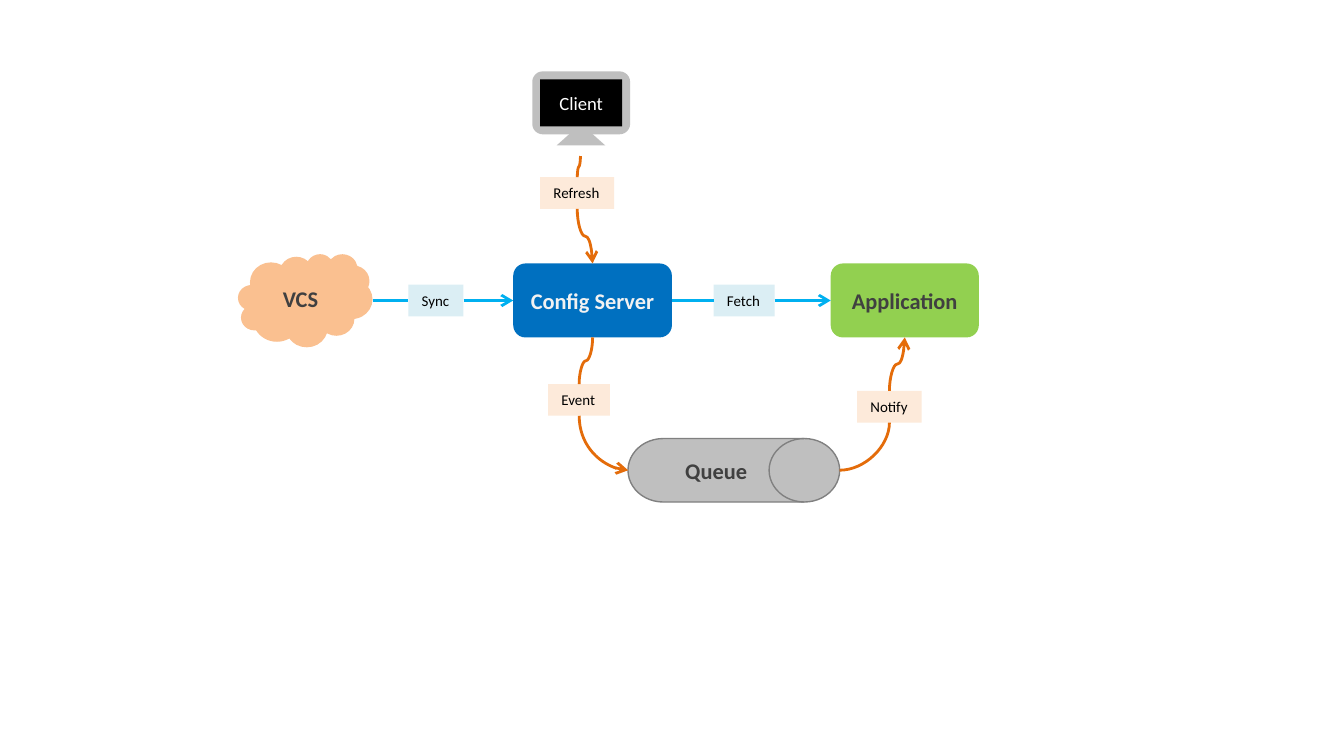
import pptx
import pptx.dml.color
import pptx.enum.shapes
import pptx.enum.text
import pptx.oxml.ns
import pptx.util
from lxml import etree

Cm = pptx.util.Cm
Pt = pptx.util.Pt
RGBColor = pptx.dml.color.RGBColor
SHAPE = pptx.enum.shapes.MSO_SHAPE
CONNECTOR = pptx.enum.shapes.MSO_CONNECTOR
ALIGN = pptx.enum.text.PP_ALIGN
ANCHOR = pptx.enum.text.MSO_ANCHOR
FIT = pptx.enum.text.MSO_AUTO_SIZE
qn = pptx.oxml.ns.qn

FONT = "Calibri"
BLUE = RGBColor(0x00, 0x70, 0xC0)
SKY = RGBColor(0x00, 0xB0, 0xF0)
PALE_BLUE = RGBColor(0xDB, 0xEE, 0xF4)
ORANGE = RGBColor(0xE4, 0x6C, 0x0A)
PEACH = RGBColor(0xFA, 0xC0, 0x90)
PALE_ORANGE = RGBColor(0xFD, 0xEA, 0xDA)
GREEN = RGBColor(0x92, 0xD0, 0x50)
SILVER = RGBColor(0xBF, 0xBF, 0xBF)
GRAY = RGBColor(0x80, 0x80, 0x80)
DARK = RGBColor(0x40, 0x40, 0x40)
LIGHT = RGBColor(0xF2, 0xF2, 0xF2)
BLACK = RGBColor(0x00, 0x00, 0x00)
WHITE = RGBColor(0xFF, 0xFF, 0xFF)

# name, preset, (left, top, width, height) in cm, fill, outline, text colour
NODES = [
    ("Config Server", SHAPE.ROUNDED_RECTANGLE, (9.7, 4.98, 3, 1.4), BLUE, None, LIGHT),
    ("VCS", SHAPE.CLOUD, (4.5, 4.8, 2.54, 1.76), PEACH, None, DARK),
    ("Application", SHAPE.ROUNDED_RECTANGLE, (15.7, 4.98, 2.8, 1.4), GREEN, None, DARK),
    ("Queue", SHAPE.FLOWCHART_DIRECT_ACCESS_STORAGE, (11.87, 8.29, 4, 1.2), SILVER, GRAY, DARK),
]
MONITOR = [
    (SHAPE.ISOSCELES_TRIANGLE, (10.52, 2.34, 0.92, 0.41), SILVER, ""),
    (SHAPE.ROUNDED_RECTANGLE, (10.06, 1.35, 1.85, 1.19), SILVER, ""),
    (SHAPE.RECTANGLE, (10.21, 1.5, 1.55, 0.89), BLACK, "Client"),
]
# name, (left, top, width) in cm, fill
LABEL_HEIGHT = 0.6
LABELS = [
    ("Refresh", (10.21, 3.35, 1.4), PALE_ORANGE),
    ("Event", (10.36, 7.26, 1.17), PALE_ORANGE),
    ("Notify", (16.2, 7.39, 1.22), PALE_ORANGE),
    ("Sync", (7.72, 5.38, 1.04), PALE_BLUE),
    ("Fetch", (13.49, 5.38, 1.15), PALE_BLUE),
]
CLIENT_PORT = (10.97, 2.95)
# start, end, arrow at the end; each end is a point or (name, side)
STRAIGHT = [
    (("VCS", "right"), ("Sync", "left"), False),
    (("Sync", "right"), ("Config Server", "left"), True),
    (("Config Server", "right"), ("Fetch", "left"), False),
    (("Fetch", "right"), ("Application", "left"), True),
]
CURVED = [
    (CLIENT_PORT, ("Refresh", "top"), False),
    (("Refresh", "bottom"), ("Config Server", "top"), True),
    (("Config Server", "bottom"), ("Event", "top"), False),
    (("Event", "bottom"), ("Queue", "left"), True),
    (("Queue", "right"), ("Notify", "bottom"), False),
    (("Notify", "top"), ("Application", "bottom"), True),
]
SIDES = {"left": (0, 0.5), "right": (1, 0.5), "top": (0.5, 0), "bottom": (0.5, 1)}


def write(shape, text, size, color, bold=False, align=ALIGN.CENTER):
    """Put one formatted run of text in a shape."""
    para = shape.text_frame.paragraphs[0]
    para.alignment = align
    span = para.add_run()
    span.text = text
    span.font.name = FONT
    span.font.size = Pt(size)
    span.font.bold = bold
    span.font.color.rgb = color


def add_box(shapes, preset, frame, fill, outline=None):
    """Add a flat filled shape with an optional thin outline."""
    box = shapes.add_shape(preset, *map(Cm, frame))
    box.shadow.inherit = False
    box.fill.solid()
    box.fill.fore_color.rgb = fill
    if outline is None:
        box.line.fill.background()
    else:
        box.line.color.rgb = outline
        box.line.width = Pt(0.75)
    box.text_frame.vertical_anchor = ANCHOR.MIDDLE
    return box


def add_label(shapes, text, frame, fill):
    """Add a filled text box that fits its text."""
    label = shapes.add_textbox(*map(Cm, frame))
    label.fill.solid()
    label.fill.fore_color.rgb = fill
    label.text_frame.word_wrap = False
    label.text_frame.auto_size = FIT.SHAPE_TO_FIT_TEXT
    write(label, text, 8, BLACK, align=ALIGN.LEFT)


def locate(end, frames):
    """Return the point in cm for a point or a (name, side) pair."""
    if end[0] not in frames:
        return end
    left, top, width, height = frames[end[0]]
    across, down = SIDES[end[1]]
    return left + across * width, top + down * height


def style_line(line, color, arrow):
    """Colour a connector, drop its shadow and add an arrowhead if asked."""
    line.line.color.rgb = color
    line.line.width = Pt(1.5)
    properties = line._element.spPr
    if arrow:
        outline = properties.find(qn("a:ln"))
        etree.SubElement(outline, qn("a:tailEnd"), type="arrow")
    etree.SubElement(properties, qn("a:effectLst"))


def add_curve(shapes, start, end, leaves_upright, is_bend):
    """Add a curve; one that leaves upright is a turned sideways curve."""
    (x1, y1), (x2, y2) = start, end
    if not leaves_upright:
        curve = shapes.add_connector(CONNECTOR.CURVE, *map(Cm, (x1, y1, x2, y2)))
    else:
        middle_x, middle_y = (x1 + x2) / 2, (y1 + y2) / 2
        half_width, half_height = abs(y2 - y1) / 2, abs(x2 - x1) / 2
        corners = (middle_x - half_width, middle_y - half_height,
                   middle_x + half_width, middle_y + half_height)
        curve = shapes.add_connector(CONNECTOR.CURVE, *map(Cm, corners))
        rightward, upward = x2 > x1, y2 < y1
        turn = 270 if rightward and not upward else 90
        frame = curve._element.spPr.find(qn("a:xfrm"))
        frame.set("rot", str(turn * 60000))
        if rightward or upward:
            frame.set("flipH", "1")
        if rightward and upward:
            frame.set("flipV", "1")
    if is_bend:
        curve._element.spPr.find(qn("a:prstGeom")).set("prst", "curvedConnector2")
    return curve


deck = pptx.Presentation()
deck.slide_width, deck.slide_height = Cm(25.4), Cm(14.29)
page = deck.slides.add_slide(deck.slide_layouts[6])
frames = {}

for name, preset, frame, fill, outline, color in NODES:
    frames[name] = frame
    write(add_box(page.shapes, preset, frame, fill, outline), name, 12, color, bold=True)

monitor = page.shapes.add_group_shape()
for preset, frame, fill, text in MONITOR:
    part = add_box(monitor.shapes, preset, frame, fill)
    if text:
        write(part, text, 10, WHITE)

for name, place, fill in LABELS:
    frames[name] = (*place, LABEL_HEIGHT)
    add_label(page.shapes, name, frames[name], fill)

for start, end, arrow in STRAIGHT:
    points = locate(start, frames) + locate(end, frames)
    line = page.shapes.add_connector(CONNECTOR.STRAIGHT, *map(Cm, points))
    style_line(line, SKY, arrow)

for start, end, arrow in CURVED:
    leaves_upright = start[1] not in ("left", "right")
    is_bend = leaves_upright == (end[1] in ("left", "right"))
    curve = add_curve(page.shapes, locate(start, frames), locate(end, frames),
                      leaves_upright, is_bend)
    style_line(curve, ORANGE, arrow)

deck.save("out.pptx")
